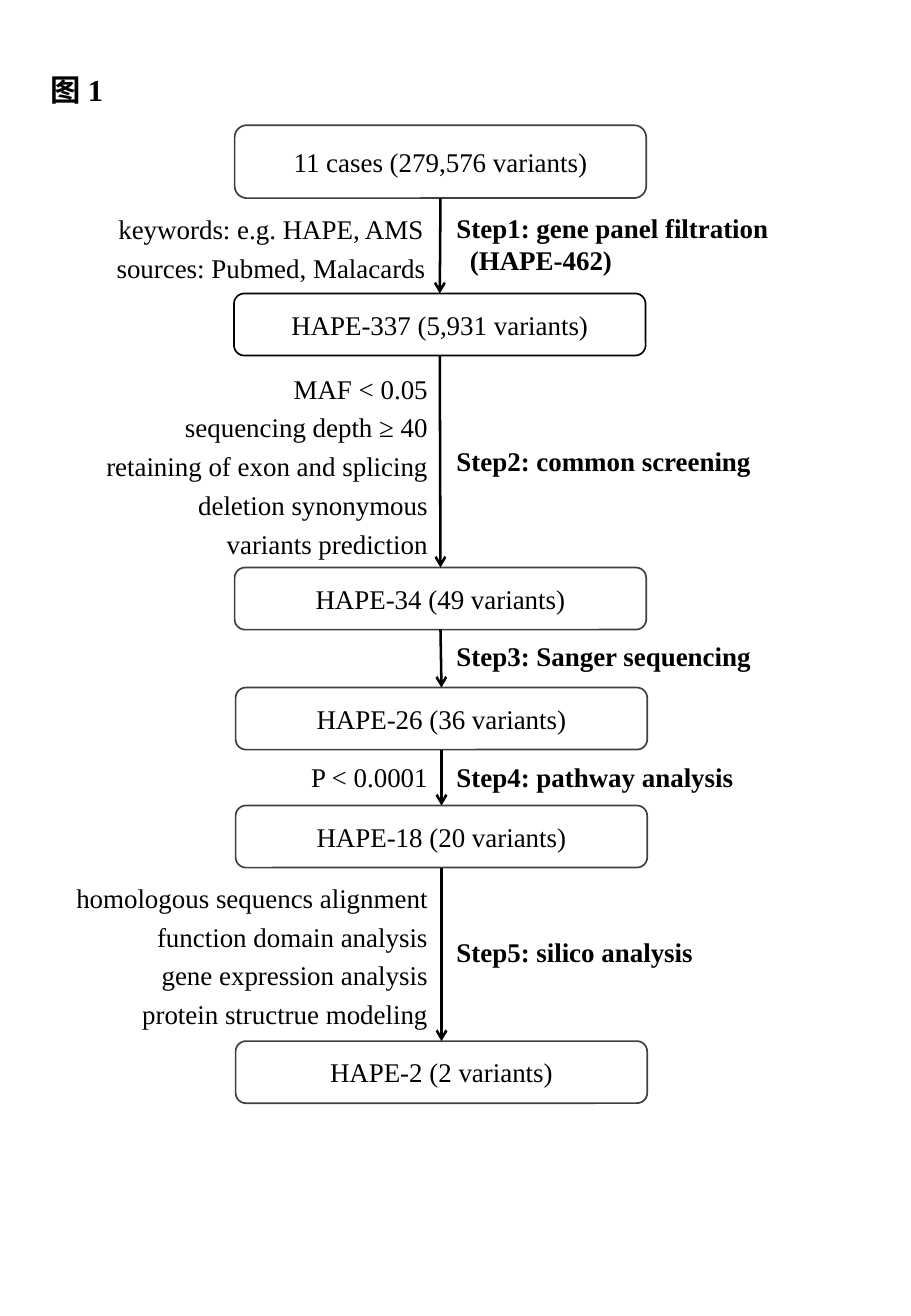
import pptx
import pptx.util
import pptx.dml.color
import pptx.enum.shapes
import pptx.enum.text
import pptx.oxml
import pptx.oxml.ns

Pt = pptx.util.Pt
ALIGN = pptx.enum.text.PP_ALIGN
ANCHOR = pptx.enum.text.MSO_ANCHOR


def color(value):
    return pptx.dml.color.RGBColor.from_string(value)


def write(frame, text, size=16, bold=False, align=ALIGN.LEFT, spacing=None,
          indents=(), wrap=True, anchor=ANCHOR.TOP, ink="000000", font="Times New Roman"):
    frame.word_wrap = wrap
    frame.vertical_anchor = anchor
    for index, line in enumerate(text.split("\n")):
        para = frame.add_paragraph() if index else frame.paragraphs[0]
        para.alignment = align
        if spacing:
            para.line_spacing = spacing
        if index < len(indents):
            para._p.get_or_add_pPr().set("marL", str(Pt(indents[index])))
        span = para.add_run()
        span.text = line
        span.font.name = font
        span.font.size = Pt(size)
        span.font.bold = bold
        span.font.color.rgb = color(ink)


class Flowchart:
    ink = "000000"
    paper = "FFFFFF"
    stage_width = 244

    def __init__(self, page):
        self.page = page

    def stage(self, left, top, height, text, outline):
        box = self.page.shapes.add_shape(
            pptx.enum.shapes.MSO_SHAPE.ROUNDED_RECTANGLE,
            Pt(left), Pt(top), Pt(self.stage_width), Pt(height))
        box.shadow.inherit = False
        box.fill.solid()
        box.fill.fore_color.rgb = color(self.paper)
        box.line.color.rgb = color(outline)
        box.line.width = Pt(1)
        write(box.text_frame, text, align=ALIGN.CENTER, anchor=ANCHOR.MIDDLE)
        return box

    def arrow(self, upper, lower):
        line = self.page.shapes.add_connector(
            pptx.enum.shapes.MSO_CONNECTOR.STRAIGHT,
            upper.left + upper.width // 2, upper.top + upper.height,
            lower.left + lower.width // 2, lower.top)
        line.line.color.rgb = color(self.ink)
        line.line.width = Pt(1.5)
        head = pptx.oxml.parse_xml(
            f'<a:tailEnd {pptx.oxml.ns.nsdecls("a")} type="arrow"/>')
        line.line._get_or_add_ln().append(head)
        line._element.spPr.append(pptx.oxml.parse_xml(
            f'<a:effectLst {pptx.oxml.ns.nsdecls("a")}/>'))

    def label(self, left, top, width, height, text, **style):
        box = self.page.shapes.add_textbox(Pt(left), Pt(top), Pt(width), Pt(height))
        write(box.text_frame, text, **style)


STAGES = [
    (139.1, 74.2, 43.2, "11 cases (279,576 variants)", "404040"),
    (138.7, 173.9, 36.8, "HAPE-337 (5,931 variants)", "000000"),
    (139.1, 336.3, 36.8, "HAPE-34 (49 variants)", "404040"),
    (139.7, 407.4, 36.8, "HAPE-26 (36 variants)", "404040"),
    (139.7, 477.3, 36.8, "HAPE-18 (20 variants)", "404040"),
    (139.7, 616.9, 36.8, "HAPE-2 (2 variants)", "404040"),
]

STEPS = [
    (121.7, 46, "Step1: gene panel filtration\n(HAPE-462)"),
    (259.9, 26.6, "Step2: common screening"),
    (375.1, 29.5, "Step3: Sanger sequencing"),
    (447.1, 26.6, "Step4: pathway analysis"),
    (550.8, 26.6, "Step5: silico analysis"),
]

CRITERIA = [
    (213.1, 122.4, 1.2, "MAF < 0.05\nsequencing depth ≥ 40\nretaining of exon and splicing\n"
                        "deletion synonymous\nvariants prediction"),
    (447.1, 26.6, None, "P < 0.0001"),
    (514.8, 99.4, 1.2, "homologous sequencs alignment\nfunction domain analysis\n"
                       "gene expression analysis\nprotein structrue modeling"),
]


def main():
    deck = pptx.Presentation()
    deck.slide_width = Pt(540)
    deck.slide_height = Pt(779.76)
    chart = Flowchart(deck.slides.add_slide(deck.slide_layouts[6]))

    chart.label(23, 38.9, 50.4, 28.8, "图 1", size=18, bold=True, wrap=False)
    boxes = [chart.stage(*stage) for stage in STAGES]
    for upper, lower in zip(boxes, boxes[1:]):
        chart.arrow(upper, lower)
    for top, height, text in STEPS:
        chart.label(263.5, top, 247, height, text, bold=True, indents=(0, 8))
    chart.label(60.5, 118.8, 200.2, 53.3,
                "keywords: e.g. HAPE, AMS\nsources: Pubmed, Malacards",
                align=ALIGN.CENTER, spacing=1.2)
    for top, height, spacing, text in CRITERIA:
        chart.label(36.7, top, 223.9, height, text, align=ALIGN.RIGHT, spacing=spacing)

    deck.save("out.pptx")


if __name__ == "__main__":
    main()
